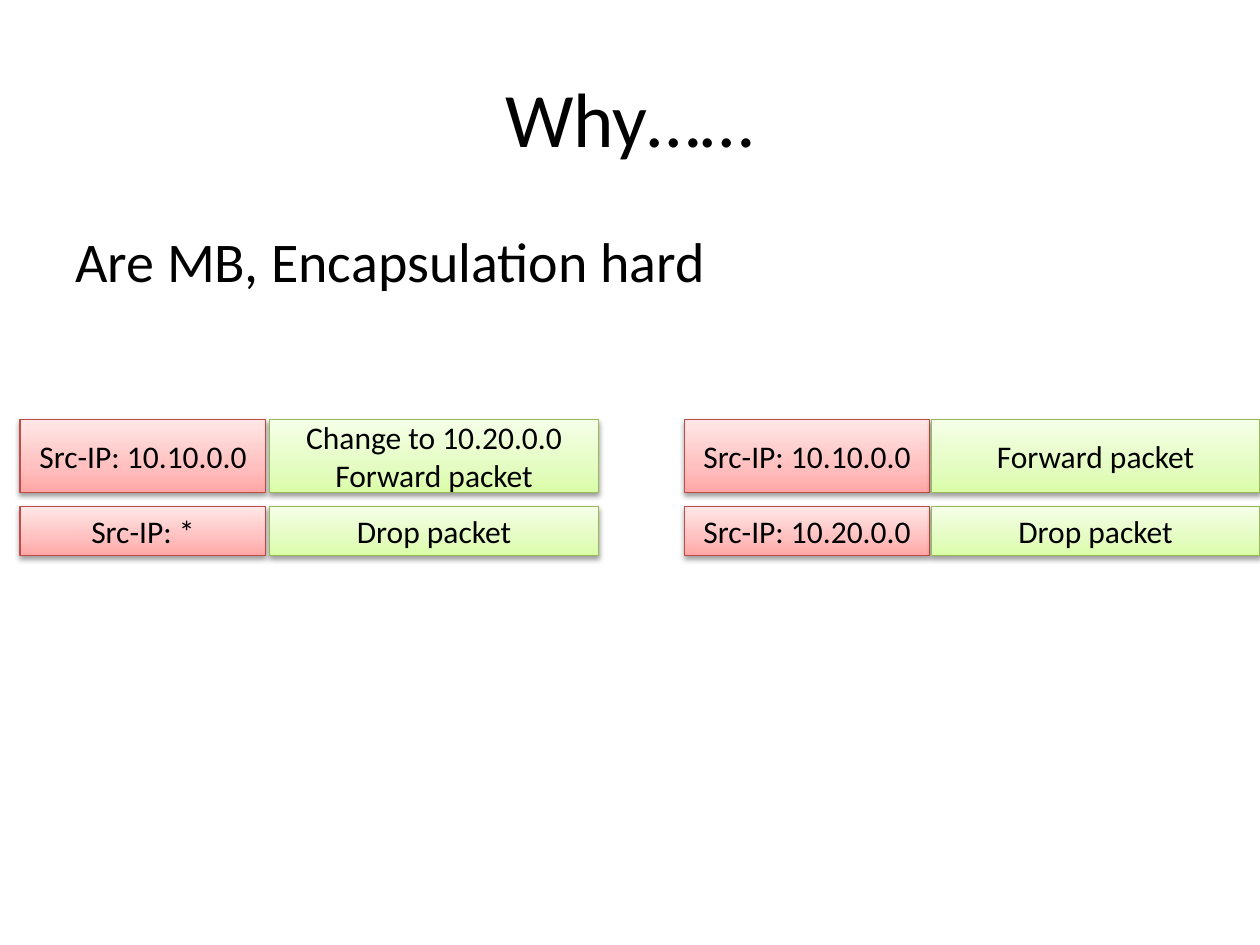
import dataclasses

import lxml.etree
import pptx
import pptx.dml.color
import pptx.enum.shapes
import pptx.enum.text
import pptx.oxml.ns
import pptx.util
from pptx.util import Inches

qn = pptx.oxml.ns.qn
ALIGN = pptx.enum.text.PP_ALIGN
ANCHOR = pptx.enum.text.MSO_ANCHOR


@dataclasses.dataclass(frozen=True)
class Theme:
    font: str = "Calibri"
    ink: str = "000000"
    title_size: int = 44
    body_size: int = 32
    rule_size: int = 18
    line_width: float = 0.75
    # Each palette: gradient stops from bottom to top, then outline
    match: tuple = (((0, "FFA6A5"), (35, "FFC0BF"), (100, "FFE7E7")), "BF4C48")
    action: tuple = (((0, "DAFDA7"), (35, "E4FCC2"), (100, "F5FFE7")), "98B955")


THEME = Theme()


def rgb(value):
    return pptx.dml.color.RGBColor.from_string(value)


def add_element(parent, tag, **attributes):
    return lxml.etree.SubElement(parent, qn(tag), attributes)


def write_text(shape, lines, size, align, anchor):
    frame = shape.text_frame
    for name, value in {"word_wrap": True, "vertical_anchor": anchor}.items():
        setattr(frame, name, value)
    frame.text = "\n".join(lines)
    for paragraph in frame.paragraphs:
        paragraph.alignment = align
        font_format = {"name": THEME.font, "size": pptx.util.Pt(size)}
        for name, value in font_format.items():
            setattr(paragraph.font, name, value)
        paragraph.font.color.rgb = rgb(THEME.ink)


def add_title(slide, box, text):
    title = slide.shapes.add_textbox(*map(Inches, box))
    write_text(title, [text], THEME.title_size, ALIGN.CENTER, ANCHOR.MIDDLE)


def add_body(slide, box, text):
    body = slide.shapes.add_textbox(*map(Inches, box))
    indent = Inches(0.38)
    properties = body.text_frame.paragraphs[0]._p.get_or_add_pPr()
    properties.set("marL", str(indent))
    properties.set("indent", str(-indent))
    add_element(properties, "a:buFont", typeface="Arial")
    add_element(properties, "a:buChar", char="•")
    write_text(body, [text], THEME.body_size, ALIGN.LEFT, ANCHOR.TOP)


def add_rule_cell(slide, box, lines, palette):
    stops, outline = palette
    cell = slide.shapes.add_shape(
        pptx.enum.shapes.MSO_SHAPE.RECTANGLE, *map(Inches, box))
    cell.line.color.rgb = rgb(outline)
    cell.line.width = pptx.util.Pt(THEME.line_width)

    # Three-stop vertical gradient
    cell.fill.gradient()
    cell.fill.gradient_angle = 90
    stop_list = cell._element.spPr.find(".//" + qn("a:gsLst"))
    for stop in list(stop_list):
        stop_list.remove(stop)
    for position, color in stops:
        stop = add_element(stop_list, "a:gs", pos=str(position * 1000))
        add_element(stop, "a:srgbClr", val=color)

    # Soft shadow below
    cell.shadow.inherit = False
    effects = cell._element.spPr.find(qn("a:effectLst"))
    shadow = add_element(effects, "a:outerShdw", blurRad="40000", dist="20000",
                         dir="5400000", rotWithShape="0")
    shade = add_element(shadow, "a:srgbClr", val=THEME.ink)
    add_element(shade, "a:alpha", val="38000")

    write_text(cell, lines, THEME.rule_size, ALIGN.CENTER, ANCHOR.MIDDLE)


def add_rule_table(slide, box, rules, column_gap):
    left, top, width, height = box
    match_width, row_gap = 1.95, 0.11
    first_height = 0.58
    row_heights = (first_height, height - first_height - row_gap)
    action_offset = match_width + column_gap
    for (match, action), row_height in zip(rules, row_heights):
        add_rule_cell(slide, (left, top, match_width, row_height),
                      [match], THEME.match)
        add_rule_cell(slide, (left + action_offset, top,
                              width - action_offset, row_height),
                      action, THEME.action)
        top += row_height + row_gap


def main():
    presentation = pptx.Presentation()
    presentation.slide_width = Inches(10)
    presentation.slide_height = Inches(7.5)
    slide = presentation.slides.add_slide(presentation.slide_layouts[6])

    add_title(slide, (0.5, 0.3, 9, 1.25), "Why……")
    add_body(slide, (0.5, 1.75, 9, 4.95), "Are MB, Encapsulation hard")

    # Rules that rewrite the source address
    add_rule_table(slide, (0.16, 3.33, 4.59, 1.08), [
        ("Src-IP: 10.10.0.0", ["Change to 10.20.0.0", "Forward packet"]),
        ("Src-IP: *", ["Drop packet"]),
    ], column_gap=0.03)

    # Rules that filter by source address
    add_rule_table(slide, (5.43, 3.33, 4.57, 1.08), [
        ("Src-IP: 10.10.0.0", ["Forward packet"]),
        ("Src-IP: 10.20.0.0", ["Drop packet"]),
    ], column_gap=0.01)

    presentation.save("out.pptx")


if __name__ == "__main__":
    main()
